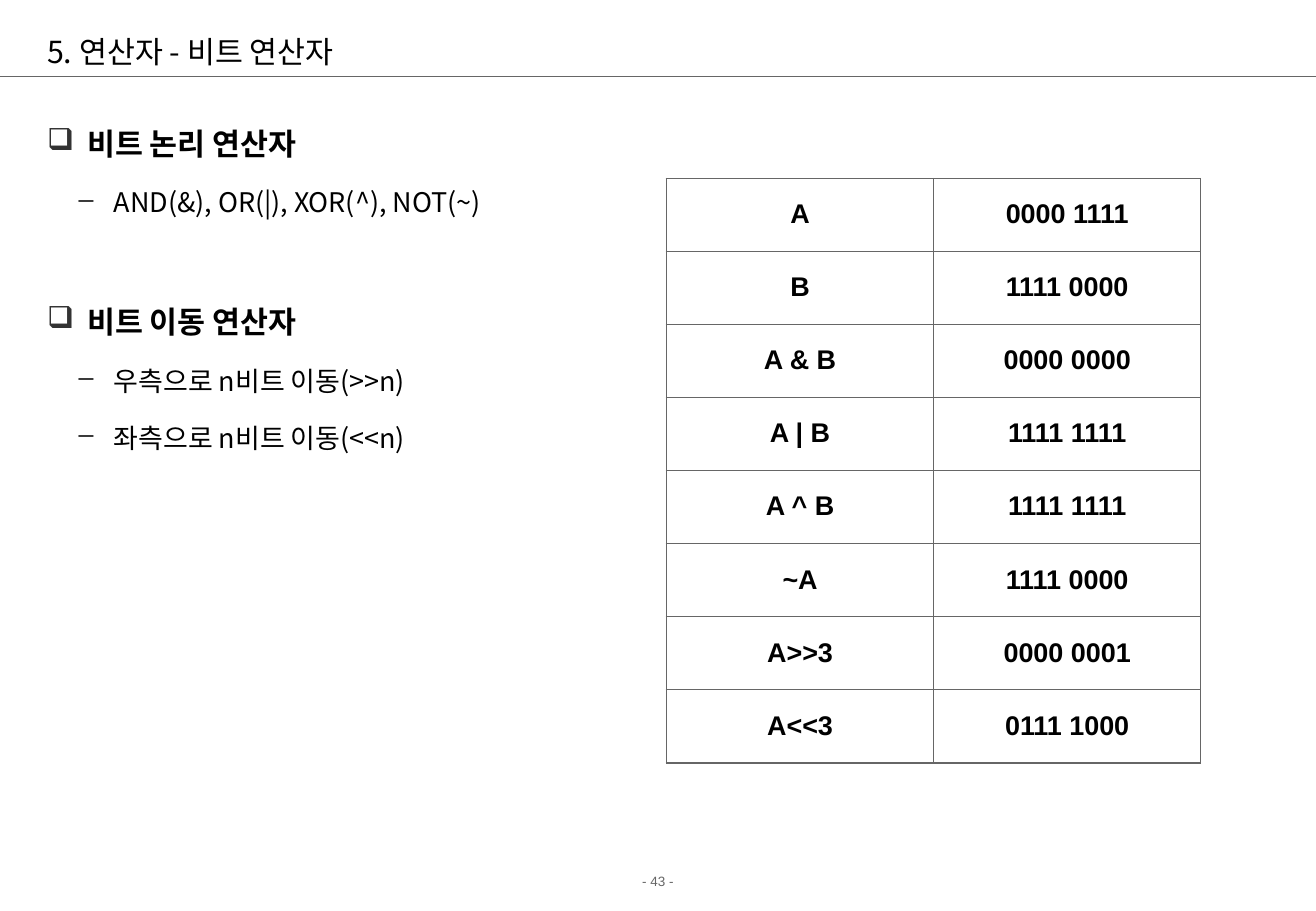
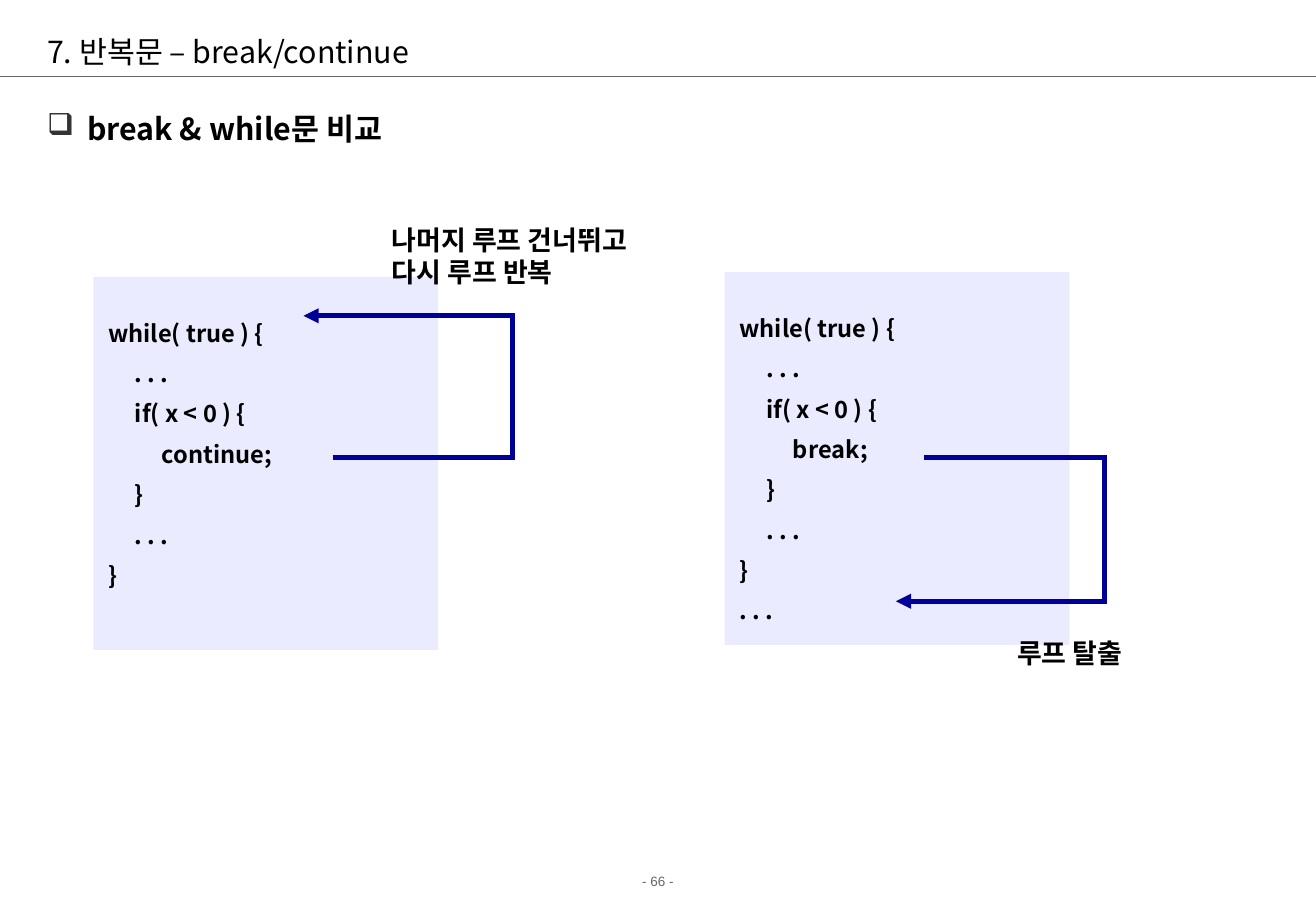
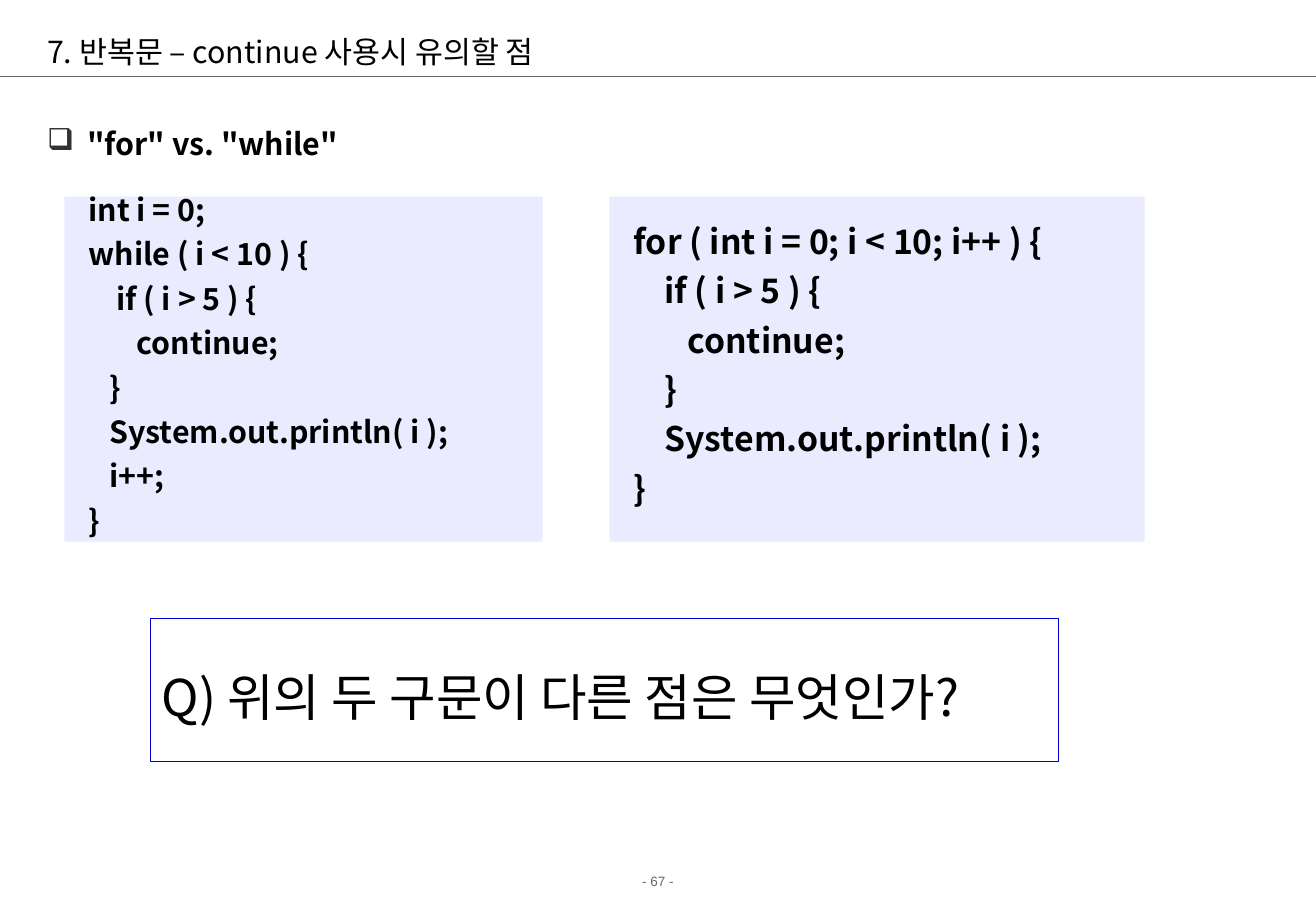
from lxml import etree
from pptx import Presentation
from pptx.dml.color import RGBColor
from pptx.enum.shapes import MSO_CONNECTOR, MSO_SHAPE
from pptx.enum.text import MSO_ANCHOR, PP_ALIGN
from pptx.oxml.ns import qn
from pptx.util import Inches, Pt

STRAIGHT = MSO_CONNECTOR.STRAIGHT
RECTANGLE = MSO_SHAPE.RECTANGLE
TOP, MIDDLE = MSO_ANCHOR.TOP, MSO_ANCHOR.MIDDLE
LEFT, CENTER = PP_ALIGN.LEFT, PP_ALIGN.CENTER

BLACK = RGBColor(0x00, 0x00, 0x00)
WHITE = RGBColor(0xFF, 0xFF, 0xFF)
GREY = RGBColor(0x66, 0x66, 0x66)
BULLET_GREY = RGBColor(0x33, 0x33, 0x33)
CODE_FILL = RGBColor(0xEB, 0xEB, 0xFF)
NAVY = RGBColor(0x00, 0x00, 0x99)
BLUE = RGBColor(0x00, 0x00, 0xCC)

KOREAN = "Noto Sans CJK KR"
ARIAL = "Arial"

SLIDE_W, SLIDE_H = 10.84, 7.5
MARGIN, CONTENT_W = 0.29, 10.17
RULE_Y = 0.63
DEFAULT_INSETS = (0.1, 0.05, 0.1, 0.05)

# level: bullet, text size, left edge, hanging indent, space before, bold
LEVELS = {
    0: ("❑", 18, 0.33, 0.33, 5.6, True),
    1: ("–", 16, 0.55, 0.29, 5, False),
}
SECTION_GAP = 34


def style_runs(paragraph, size, bold=False, color=BLACK, font=KOREAN):
    for run in paragraph.runs:
        run.font.size = Pt(size)
        run.font.bold = bold
        run.font.color.rgb = color
        run.font.name = font
        east_asian = etree.Element(qn("a:ea"), typeface=font)
        run.font._element.find(qn("a:latin")).addnext(east_asian)


def write_lines(frame, lines, size, bold=False, color=BLACK, font=KOREAN,
                align=LEFT, spacing=1.0, before=0):
    """One paragraph for each line, with space between the lines only."""
    for index, line in enumerate(lines):
        paragraph = frame.add_paragraph() if index else frame.paragraphs[0]
        paragraph.text = line
        paragraph.alignment = align
        paragraph.line_spacing = spacing
        paragraph.space_before = Pt(before if index else 0)
        style_runs(paragraph, size, bold, color, font)


def set_frame(frame, insets=DEFAULT_INSETS, anchor=TOP, wrap=True):
    (frame.margin_left, frame.margin_top,
     frame.margin_right, frame.margin_bottom) = map(Inches, insets)
    frame.vertical_anchor = anchor
    frame.word_wrap = wrap
    return frame


def add_text_frame(slide, box, anchor=TOP, wrap=True):
    area = slide.shapes.add_textbox(*map(Inches, box))
    return set_frame(area.text_frame, anchor=anchor, wrap=wrap)


def add_line(slide, start, end, color, width, arrow=False):
    line = slide.shapes.add_connector(STRAIGHT, *map(Inches, start + end))
    line.line.color.rgb = color
    line.line.width = Pt(width)
    if arrow:
        etree.SubElement(line.line._get_or_add_ln(), qn("a:tailEnd"),
                         type="triangle")
    etree.SubElement(line._element.spPr, qn("a:effectLst"))


def add_page(deck, title, number):
    """A slide with the title, the rule below it and the page number."""
    slide = deck.slides.add_slide(deck.slide_layouts[6])
    footer = add_text_frame(slide, (0, 7.14, SLIDE_W, 0.24))
    write_lines(footer, [f"- {number} -"], 8, color=GREY, font=ARIAL,
                align=CENTER)
    add_line(slide, (0, RULE_Y), (SLIDE_W, RULE_Y), GREY, 0.75)
    heading = add_text_frame(slide, (MARGIN, 0.21, CONTENT_W, 0.42), MIDDLE)
    write_lines(heading, [title], 18)
    return slide


def add_outline(slide, box, items, spacing=1.5):
    """Bulleted text from (level, text) pairs; later sections stand apart."""
    frame = add_text_frame(slide, box)
    for index, (level, text) in enumerate(items):
        bullet, size, left, hanging, before, bold = LEVELS[level]
        paragraph = frame.add_paragraph() if index else frame.paragraphs[0]
        paragraph.text = text
        paragraph.level = level
        paragraph.line_spacing = spacing
        gap = before + (SECTION_GAP if level == 0 else 0)
        paragraph.space_before = Pt(gap if index else 0)
        properties = paragraph._p.get_or_add_pPr()
        properties.set("marL", str(Inches(left)))
        properties.set("indent", str(-Inches(hanging)))
        bullet_color = etree.SubElement(properties, qn("a:buClr"))
        etree.SubElement(bullet_color, qn("a:srgbClr"), val=str(BULLET_GREY))
        etree.SubElement(properties, qn("a:buChar"), char=bullet)
        style_runs(paragraph, size, bold)


def add_panel(slide, box, insets, anchor, fill=None, outline=None):
    panel = slide.shapes.add_shape(RECTANGLE, *map(Inches, box))
    panel.shadow.inherit = False
    if fill is None:
        panel.fill.background()
    else:
        panel.fill.solid()
        panel.fill.fore_color.rgb = fill
    if outline is None:
        panel.line.fill.background()
    else:
        panel.line.color.rgb = outline
        panel.line.width = Pt(0.75)
    return set_frame(panel.text_frame, insets, anchor)


def set_borders(cell, widths):
    """Border widths in points, in the order left, right, top, bottom."""
    properties = cell._tc.get_or_add_tcPr()
    for index, (side, width) in enumerate(zip("LRTB", widths)):
        border = etree.Element(qn(f"a:ln{side}"), w=str(Pt(width)))
        fill = etree.SubElement(border, qn("a:solidFill"))
        etree.SubElement(fill, qn("a:srgbClr"), val=str(GREY))
        properties.insert(index, border)


def add_bit_table(slide, box, rows, outer=1.08, inner=0.45):
    row_count, column_count = len(rows), len(rows[0])
    table = slide.shapes.add_table(row_count, column_count,
                                   *map(Inches, box)).table
    table.first_row = table.horz_banding = False
    for r, values in enumerate(rows):
        for c, value in enumerate(values):
            cell = table.cell(r, c)
            cell.fill.solid()
            cell.fill.fore_color.rgb = WHITE
            write_lines(cell.text_frame, [value], 16, True, font=ARIAL,
                        align=CENTER, spacing=1.5)
            on_edge = (c == 0, c == column_count - 1,
                       r == 0, r == row_count - 1)
            set_borders(cell, [outer if edge else inner for edge in on_edge])


def add_jump(slide, start, turn_x, end):
    """Arrow that leaves to the right, turns at turn_x and comes back."""
    overlap = 0.02
    add_line(slide, start, (turn_x + overlap, start[1]), NAVY, 3)
    add_line(slide, (turn_x, start[1]), (turn_x, end[1]), NAVY, 3)
    add_line(slide, (turn_x + overlap, end[1]), end, NAVY, 3, arrow=True)


def add_loop_code(slide, box, statement, after=()):
    code = add_panel(slide, box, (0.12, 0.37, 0, 0.04), TOP, CODE_FILL)
    lines = ["while( true ) {", "     . . .", "     if( x < 0 ) {",
             f"          {statement}", "     }", "     . . .", "}", *after]
    write_lines(code, lines, 14, True, spacing=0.9, before=8.8)


def add_comparison_code(slide, box, lines, size, before):
    code = add_panel(slide, box, (0.2, 0, 0, 0), MIDDLE, CODE_FILL)
    write_lines(code, lines, size, True, spacing=0.7, before=before)


def add_label(slide, box, lines):
    write_lines(add_text_frame(slide, box, wrap=False), lines, 16, True)


def build_bit_operators(deck):
    slide = add_page(deck, "5. 연산자 - 비트 연산자", 43)
    add_outline(slide, (MARGIN, 0.83, CONTENT_W, 5.75), [
        (0, "비트 논리 연산자"),
        (1, "AND(&), OR(|), XOR(^), NOT(~)"),
        (0, "비트 이동 연산자"),
        (1, "우측으로 n비트 이동(>>n)"),
        (1, "좌측으로 n비트 이동(<<n)"),
    ])
    add_bit_table(slide, (5.49, 1.47, 4.4, 4.81), [
        ("A", "0000 1111"),
        ("B", "1111 0000"),
        ("A & B", "0000 0000"),
        ("A | B", "1111 1111"),
        ("A ^ B", "1111 1111"),
        ("~A", "1111 0000"),
        ("A>>3", "0000 0001"),
        ("A<<3", "0111 1000"),
    ])


def build_break_continue(deck):
    slide = add_page(deck, "7. 반복문 – break/continue", 66)
    add_outline(slide, (MARGIN, 0.83, 6.3, 1.81),
                [(0, "break & while문 비교")], spacing=1.1)
    add_loop_code(slide, (0.77, 2.28, 2.84, 3.07), "continue;")
    add_jump(slide, (2.74, 3.77), 4.22, (2.5, 2.6))
    add_loop_code(slide, (5.97, 2.24, 2.84, 3.07), "break;", [". . ."])
    add_jump(slide, (7.61, 3.77), 9.1, (7.38, 4.95))
    add_label(slide, (3.13, 1.79, 2.22, 0.64),
              ["나머지 루프 건너뛰고", "다시 루프 반복"])
    add_label(slide, (8.28, 5.19, 1.08, 0.37), ["루프 탈출"])


def build_continue_caution(deck):
    slide = add_page(deck, "7. 반복문 – continue 사용시 유의할 점", 67)
    add_outline(slide, (MARGIN, 0.83, CONTENT_W, 0.71),
                [(0, '"for" vs. "while"')])
    add_comparison_code(slide, (0.53, 1.62, 3.94, 2.84), [
        "int i = 0;",
        "while ( i < 10 ) {",
        "    if ( i > 5 ) {",
        "       continue;",
        "   }",
        "   System.out.println( i );",
        "   i++;",
        "}",
    ], 18, 11.2)
    add_comparison_code(slide, (5.02, 1.62, 4.41, 2.84), [
        "for ( int i = 0; i < 10; i++ ) {",
        "    if ( i > 5 ) {",
        "       continue;",
        "    }",
        "    System.out.println( i );",
        "}",
    ], 20, 12.5)
    question = add_panel(slide, (1.24, 5.09, 7.48, 1.18), (0.09, 0, 0, 0),
                         MIDDLE, outline=BLUE)
    write_lines(question, ["Q) 위의 두 구문이 다른 점은 무엇인가?"], 30,
                spacing=1.2)


def main():
    deck = Presentation()
    deck.slide_width, deck.slide_height = Inches(SLIDE_W), Inches(SLIDE_H)
    build_bit_operators(deck)
    build_break_continue(deck)
    build_continue_caution(deck)
    deck.save("out.pptx")


if __name__ == "__main__":
    main()
